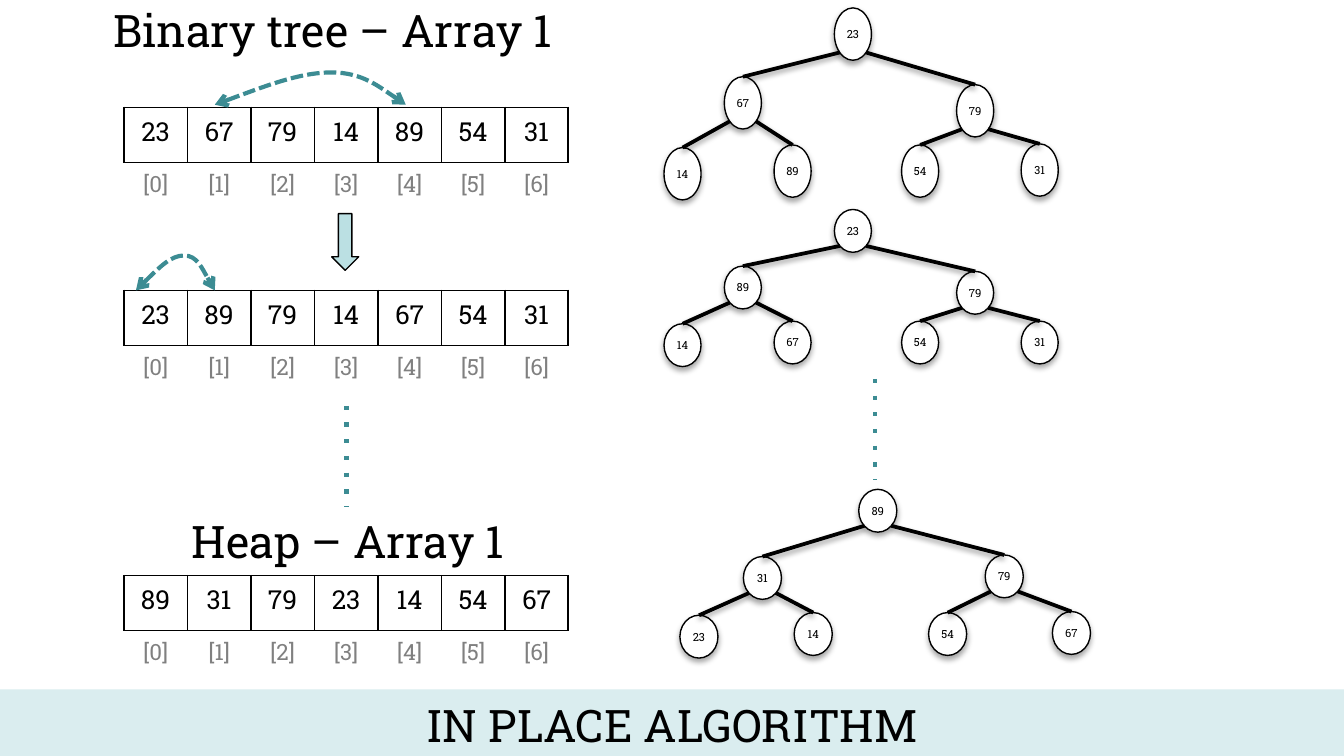
from pptx import Presentation
from pptx.dml.color import RGBColor
from pptx.enum.shapes import MSO_CONNECTOR, MSO_SHAPE
from pptx.enum.text import MSO_ANCHOR, MSO_AUTO_SIZE, PP_ALIGN
from pptx.oxml.ns import qn
from pptx.util import Cm, Pt
from lxml.etree import SubElement

FONT = "Roboto Slab"
BLACK = RGBColor(0x00, 0x00, 0x00)
WHITE = RGBColor(0xFF, 0xFF, 0xFF)
GREY = RGBColor(0x80, 0x80, 0x80)
TEAL = RGBColor(0x3C, 0x8C, 0x93)
ARROW_BLUE = RGBColor(0xBB, 0xE0, 0xE3)
BAND_BLUE = RGBColor(0xDA, 0xED, 0xEF)

# All plain numbers for places and sizes are centimetres.
ARRAYS = [
    (2.03, [23, 67, 79, 14, 89, 54, 31]),
    (5.49, [23, 89, 79, 14, 67, 54, 31]),
    (10.88, [89, 31, 79, 23, 14, 54, 67]),
]
ARRAY_LEFT, CELL_WIDTH, CELL_HEIGHT = 2.34, 1.2, 1.04

# Values, lefts and tops are in level order, as in a binary heap.
UPPER_LEFTS = [15.77, 13.69, 18.08, 12.55, 14.63, 17.04, 19.3]
TREES = [
    {"values": [23, 67, 79, 14, 89, 54, 31], "size": (0.7, 0.99),
     "lefts": UPPER_LEFTS,
     "tops": [0.15, 1.45, 1.6, 2.79, 2.74, 2.74, 2.72]},
    {"values": [23, 89, 79, 14, 67, 54, 31], "size": (0.7, 0.81),
     "lefts": UPPER_LEFTS,
     "tops": [3.96, 5.03, 5.13, 6.12, 6.07, 6.07, 6.07]},
    {"values": [89, 31, 79, 23, 14, 54, 67], "size": (0.72, 0.81),
     "lefts": [16.23, 14.05, 18.62, 12.85, 15.01, 17.55, 19.89],
     "tops": [9.25, 10.52, 10.49, 11.63, 11.58, 11.58, 11.56]},
]
# Start point, then two Bezier segments of three points each.
SWAPS = [
    [(4.06, 1.98), (4.88, 1.68), (5.66, 1.37), (6.27, 1.37),
     (6.86, 1.37), (7.67, 1.98), (7.67, 1.98)],
    [(2.57, 5.49), (2.9, 5.16), (3.23, 4.83), (3.48, 4.83),
     (3.73, 4.83), (4.06, 5.49), (4.06, 5.49)],
]
ELLIPSIS_LINES = [(6.55, 7.67), (16.54, 7.16)]
ELLIPSIS_LENGTH = 1.91


def lengths(*values):
    """Turn centimetre numbers into lengths."""
    return [Cm(value) for value in values]


def write(frame, text, size, color=BLACK):
    """Put one centred paragraph into a text frame."""
    frame.text = text
    para = frame.paragraphs[0]
    para.alignment = PP_ALIGN.CENTER
    para.font.name = FONT
    para.font.size = Pt(size)
    para.font.color.rgb = color


def set_line(shape, color, width):
    """Give a shape or connector a solid line."""
    shape.line.color.rgb = color
    shape.line.width = Pt(width)


def set_dash(shape, dash, arrows=False):
    """Add a dash pattern and, if wanted, arrowheads at both ends."""
    line = shape._element.spPr.find(qn("a:ln"))
    SubElement(line, qn("a:prstDash"), val=dash)
    if arrows:
        for end in ("a:headEnd", "a:tailEnd"):
            SubElement(line, qn(end), type="arrow")


def set_shadow(shape, distance=0, opacity=0):
    """Replace the theme effects by a downward shadow, or by none."""
    effects = SubElement(shape._element.spPr, qn("a:effectLst"))
    if opacity:
        shadow = SubElement(effects, qn("a:outerShdw"), blurRad=str(Pt(3.1)),
                            dist=str(Pt(distance)), dir="5400000", rotWithShape="0")
        color = SubElement(shadow, qn("a:srgbClr"), val=str(BLACK))
        SubElement(color, qn("a:alpha"), val=str(opacity * 1000))


def add_filled(shapes, kind, place, fill):
    """Add a preset shape with a plain fill."""
    shape = shapes.add_shape(kind, *lengths(*place))
    shape.fill.solid()
    shape.fill.fore_color.rgb = fill
    return shape


def add_straight(shapes, start, end, color, width):
    """Add a straight connector."""
    line = shapes.add_connector(MSO_CONNECTOR.STRAIGHT, *lengths(*start, *end))
    set_line(line, color, width)
    return line


def set_borders(cell, visible):
    """Draw the named sides of a cell in black and hide the others."""
    properties = cell._tc.get_or_add_tcPr()
    for position, side in enumerate("LRTB"):
        border = SubElement(properties, qn("a:ln" + side), w=str(Pt(1)))
        properties.insert(position, border)
        if side in visible:
            fill = SubElement(border, qn("a:solidFill"))
            SubElement(fill, qn("a:srgbClr"), val=str(BLACK))
        else:
            SubElement(border, qn("a:noFill"))


def add_array(shapes, top, values):
    """Add an array as a row of values over a row of indices."""
    count = len(values)
    table = shapes.add_table(2, count, *lengths(
        ARRAY_LEFT, top, count * CELL_WIDTH, 2 * CELL_HEIGHT)).table
    table.first_row = table.horz_banding = False
    for index, value in enumerate(values):
        table.columns[index].width = Cm(CELL_WIDTH)
        rows = [(str(value), 14, BLACK, "LRTB"), (f"[{index}]", 12, GREY, "T")]
        for row, (text, size, color, sides) in enumerate(rows):
            cell = table.cell(row, index)
            cell.fill.background()
            cell.margin_left = cell.margin_right = Cm(0.1)
            write(cell.text_frame, text, size, color)
            set_borders(cell, sides)


def add_tree(shapes, values, size, lefts, tops):
    """Add a binary tree, joining each node to its parent."""
    group = shapes.add_group_shape().shapes
    width, height = size
    for index, (value, left, top) in enumerate(zip(values, lefts, tops)):
        node = add_filled(group, MSO_SHAPE.OVAL, (left, top, width, height), WHITE)
        set_line(node, BLACK, 0.75)
        set_shadow(node, 1.8, 35)
        frame = node.text_frame
        frame.margin_left = frame.margin_right = Cm(0.1)
        frame.margin_top = frame.margin_bottom = Cm(0.13)
        frame.word_wrap = False
        frame.vertical_anchor = MSO_ANCHOR.MIDDLE
        write(frame, str(value), 6)
        if index:
            parent = (index - 1) // 2
            side = 0.15 if index % 2 else 0.85
            start = (lefts[parent] + side * width, tops[parent] + 0.85 * height)
            edge = add_straight(group, start, (left + width / 2, top), BLACK, 2)
            set_shadow(edge, 1.6, 38)


def add_swap(shapes, points):
    """Add a dashed curve with two arrowheads through Bezier points."""
    start, *rest = [lengths(*point) for point in points]
    builder = shapes.build_freeform(*start)
    builder.add_line_segments(rest, close=False)
    curve = builder.convert_to_shape()
    curve.fill.background()
    set_line(curve, TEAL, 2.25)
    set_dash(curve, "sysDash", arrows=True)
    set_shadow(curve)
    outline = curve._element.find(".//" + qn("a:path"))
    for number, segment in enumerate(outline.findall(qn("a:lnTo"))):
        if number % 3 == 0:
            bezier = SubElement(outline, qn("a:cubicBezTo"))
        bezier.append(segment[0])
        outline.remove(segment)


deck = Presentation()
deck.slide_width, deck.slide_height = lengths(25.4, 14.29)
page = deck.slides.add_slide(deck.slide_layouts[5])
shapes = page.shapes

title = shapes.title
title.left, title.top, title.width, title.height = lengths(1.83, -0.08, 8.92, 1.32)
heap_box = shapes.add_textbox(*lengths(3.3, 9.58, 6.55, 1.32))
for box, text in ((title, "Binary tree – Array 1"), (heap_box, "Heap – Array 1")):
    write(box.text_frame, text, 24)
    box.text_frame.word_wrap = True
    box.text_frame.auto_size = MSO_AUTO_SIZE.NONE
    box.text_frame.vertical_anchor = MSO_ANCHOR.TOP

for top, values in ARRAYS:
    add_array(shapes, top, values)
for tree in TREES:
    add_tree(shapes, **tree)
for points in SWAPS:
    add_swap(shapes, points)

band = add_filled(shapes, MSO_SHAPE.RECTANGLE, (0, 13.03, 25.4, 1.32), BAND_BLUE)
band.line.fill.background()
set_shadow(band)
write(band.text_frame, "IN PLACE ALGORITHM", 24)

arrow = add_filled(shapes, MSO_SHAPE.DOWN_ARROW, (6.27, 4.04, 0.51, 1.07), ARROW_BLUE)
set_line(arrow, BLACK, 0.75)
set_shadow(arrow)

for x, top in ELLIPSIS_LINES:
    dots = add_straight(shapes, (x, top), (x, top + ELLIPSIS_LENGTH), TEAL, 2.25)
    set_dash(dots, "dot")
    set_shadow(dots)

deck.save("out.pptx")
